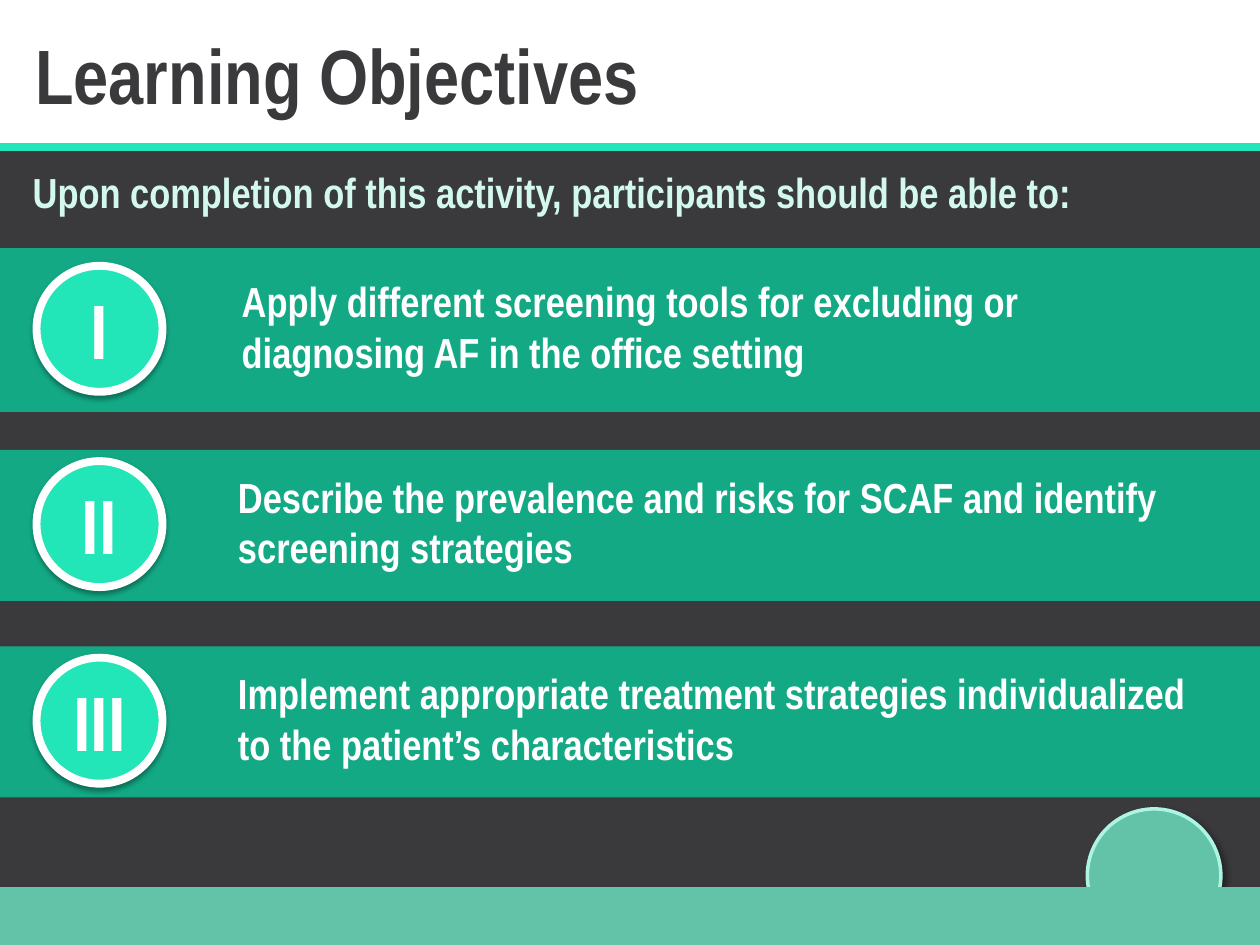
import pptx
import pptx.util
from pptx.dml.color import RGBColor
from pptx.enum.shapes import MSO_CONNECTOR, MSO_SHAPE
from pptx.enum.text import MSO_ANCHOR, MSO_AUTO_SIZE, PP_ALIGN
from pptx.oxml.ns import qn
from lxml import etree

DARK = RGBColor(0x3A, 0x3A, 0x3C)
GREEN = RGBColor(0x13, 0xA9, 0x85)
BRIGHT = RGBColor(0x22, 0xE6, 0xB7)
SAGE = RGBColor(0x62, 0xC3, 0xA8)
MINT = RGBColor(0xAE, 0xF4, 0xE2)
PALE = RGBColor(0xD3, 0xF9, 0xEF)
WHITE = RGBColor(0xFF, 0xFF, 0xFF)
FONT = "Arial Narrow"

# The slide is a grid of 100 columns by 75 rows; boxes are (left, top, width, height).
COLS, ROWS = 100, 75
WIDTH, HEIGHT = pptx.util.Inches(10), pptx.util.Inches(7.5)

# Numeral, band top, band height, text left, text width, wording
OBJECTIVES = [
    ("I", 19.7, 13, 18.2, 76.5,
     "Apply different screening tools for excluding or diagnosing AF in the office setting"),
    ("II", 35.7, 12, 17.9, 79.1,
     "Describe the prevalence and risks for SCAF and identify screening strategies"),
    ("III", 51.3, 12, 17.9, 79.1,
     "Implement appropriate treatment strategies individualized to the patient’s characteristics"),
]


def to_emu(box):
    left, top, width, height = box
    return (round(left * WIDTH / COLS), round(top * HEIGHT / ROWS),
            round(width * WIDTH / COLS), round(height * HEIGHT / ROWS))


def write(sp, text, size, color, align=PP_ALIGN.LEFT, anchor=MSO_ANCHOR.TOP):
    tf = sp.text_frame
    tf.word_wrap = True
    tf.auto_size = MSO_AUTO_SIZE.NONE
    tf.vertical_anchor = anchor
    p = tf.paragraphs[0]
    p.alignment = align
    r = p.add_run()
    r.text = text
    r.font.name, r.font.size, r.font.bold = FONT, pptx.util.Pt(size), True
    r.font.color.rgb = color
    return p


def add_shape(s, kind, box, fill, line=None, weight=0):
    sp = s.shapes.add_shape(kind, *to_emu(box))
    sp.shadow.inherit = False
    sp.fill.solid()
    sp.fill.fore_color.rgb = fill
    if line is None:
        sp.line.fill.background()
    else:
        sp.line.color.rgb = line
        sp.line.width = pptx.util.Pt(weight)
    return sp


def add_shadow(sp, alpha, blur, dist, angle):
    """Give a black outer shadow: alpha in percent, lengths in points, angle in degrees."""
    effects = sp.element.spPr.find(qn("a:effectLst"))
    shadow = etree.SubElement(effects, qn("a:outerShdw"),
                              blurRad=str(pptx.util.Pt(blur)), dist=str(pptx.util.Pt(dist)),
                              dir=str(angle * 60000), rotWithShape="0")
    color = etree.SubElement(shadow, qn("a:srgbClr"), val="000000")
    etree.SubElement(color, qn("a:alpha"), val=str(alpha * 1000))


def add_header(s, box):
    sp = s.shapes.title
    sp.left, sp.top, sp.width, sp.height = to_emu(box)
    write(sp, "Learning Objectives", 44, DARK)


def add_panel(s, box):
    """Lay the dark panel behind the placeholders, with a bright rule on its top edge."""
    sp = add_shape(s, MSO_SHAPE.RECTANGLE, box, DARK)
    sp.element.getparent().insert(2, sp.element)
    left, top, width, _ = to_emu(box)
    rule = s.shapes.add_connector(MSO_CONNECTOR.STRAIGHT, left, top, left + width, top)
    rule.line.color.rgb = BRIGHT
    rule.line.width = pptx.util.Pt(4.5)
    etree.SubElement(rule.element.spPr, qn("a:effectLst"))


def add_intro(s, box):
    sp = s.placeholders[1]
    sp.left, sp.top, sp.width, sp.height = to_emu(box)
    p = write(sp, "Upon completion of this activity, participants should be able to:", 24, PALE)
    p.space_before = pptx.util.Pt(0)
    pPr = p._p.get_or_add_pPr()
    pPr.set("marL", "0")
    pPr.set("indent", "0")
    etree.SubElement(pPr, qn("a:buNone"))


def add_objective(s, box, numeral, text_left, text_width, text):
    """Draw one band with its numbered disc and wording centred in its height."""
    left, top, _, height = box
    disc, text_height = 10, 9.1
    add_shape(s, MSO_SHAPE.RECTANGLE, box, GREEN)
    sp = add_shape(s, MSO_SHAPE.FLOWCHART_CONNECTOR,
                   (left + 2.9, top + (height - disc) / 2 - 0.1, disc, disc), BRIGHT, WHITE, 4.5)
    add_shadow(sp, 35, 3.1, 1.8, 90)
    write(sp, numeral, 44, WHITE, PP_ALIGN.CENTER, MSO_ANCHOR.MIDDLE)
    tb = s.shapes.add_textbox(*to_emu(
        (left + text_left, top + (height - text_height) / 2 - 0.25, text_width, text_height)))
    write(tb, text, 24, WHITE)


def add_footer(s, box):
    left, top, width, _ = box
    disc = 10.6
    sp = add_shape(s, MSO_SHAPE.FLOWCHART_CONNECTOR,
                   (left + width - 13.7, top - 6.2, disc, disc), SAGE, MINT, 2)
    add_shadow(sp, 40, 4, 3, 45)
    add_shape(s, MSO_SHAPE.RECTANGLE, box, SAGE)


def main():
    prs = pptx.Presentation()
    prs.slide_width, prs.slide_height = WIDTH, HEIGHT
    s = prs.slides.add_slide(prs.slide_layouts[1])
    add_header(s, (1.8, 1.7, 88.2, 8.4))
    add_panel(s, (0, 11.7, COLS, 58.7))
    add_intro(s, (1.6, 12.7, 94.9, 6))
    for numeral, top, height, text_left, text_width, text in OBJECTIVES:
        add_objective(s, (0, top, COLS, height), numeral, text_left, text_width, text)
    add_footer(s, (0, 70.4, COLS, ROWS - 70.4))
    prs.save("out.pptx")


if __name__ == "__main__":
    main()
